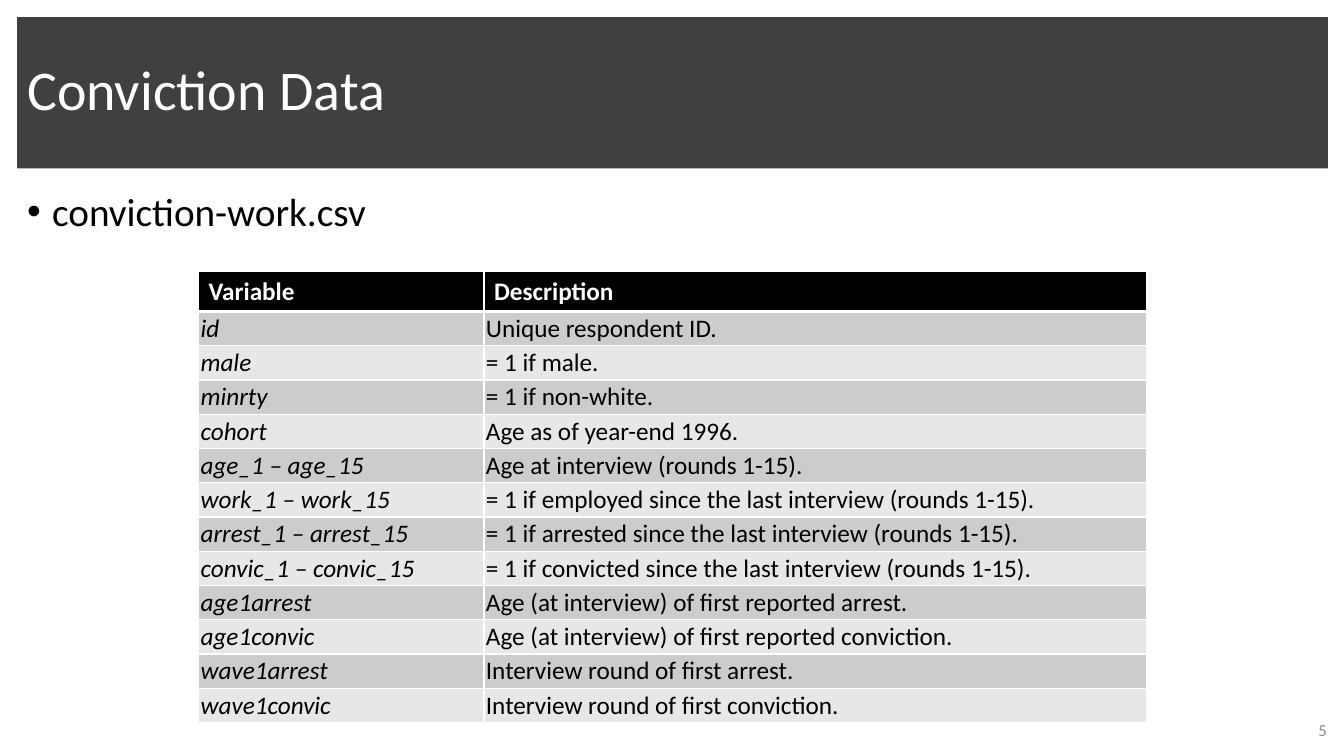
from typing import NamedTuple

from lxml.etree import SubElement
from pptx import Presentation
from pptx.dml.color import RGBColor
from pptx.enum.text import MSO_ANCHOR, PP_ALIGN
from pptx.oxml.ns import qn
from pptx.util import Pt

PX = 9144  # EMU per px, 100 px to the inch
FONT = "Calibri"
WHITE = RGBColor(0xFF, 0xFF, 0xFF)
BLACK = RGBColor(0, 0, 0)
CHARCOAL = RGBColor(0x40, 0x40, 0x40)
GRAY = RGBColor(0x8C, 0x8C, 0x8C)
BANDS = (RGBColor(0xCC, 0xCC, 0xCC), RGBColor(0xE7, 0xE7, 0xE7))

COL_WIDTHS = (283, 657)
HEADER_HEIGHT, ROW_HEIGHT = 40, 34


class Variable(NamedTuple):
    name: str
    description: str


HEADER = Variable("Variable", "Description")
VARIABLES = (
    Variable("id", "Unique respondent ID."),
    Variable("male", "= 1 if male."),
    Variable("minrty", "= 1 if non-white."),
    Variable("cohort", "Age as of year-end 1996."),
    Variable("age_1 – age_15", "Age at interview (rounds 1-15)."),
    Variable("work_1 – work_15", "= 1 if employed since the last interview (rounds 1-15)."),
    Variable("arrest_1 – arrest_15", "= 1 if arrested since the last interview (rounds 1-15)."),
    Variable("convic_1 – convic_15", "= 1 if convicted since the last interview (rounds 1-15)."),
    Variable("age1arrest", "Age (at interview) of first reported arrest."),
    Variable("age1convic", "Age (at interview) of first reported conviction."),
    Variable("wave1arrest", "Interview round of first arrest."),
    Variable("wave1convic", "Interview round of first conviction."),
)


def px(*lengths: int) -> list[int]:
    return [length * PX for length in lengths]


def write(tf, text: str, *, size: int, color=BLACK, bold=False, italic=False,
          align=PP_ALIGN.LEFT, anchor=MSO_ANCHOR.TOP, bullet=False) -> None:
    tf.word_wrap = True
    tf.vertical_anchor = anchor
    p = tf.paragraphs[0]
    p.alignment = align
    if bullet:
        pPr = p._p.get_or_add_pPr()
        pPr.set("marL", str(25 * PX))
        pPr.set("indent", str(-25 * PX))
        SubElement(pPr, qn("a:buFont"), typeface="Arial")
        SubElement(pPr, qn("a:buChar"), char="•")
    r = p.add_run()
    r.text = text
    font = r.font
    font.name, font.size, font.bold, font.italic = FONT, Pt(size), bold, italic
    font.color.rgb = color


def add_text(s, box: tuple[int, int, int, int], text: str, **style) -> None:
    write(s.shapes.add_textbox(*px(*box)).text_frame, text, **style)


def set_borders(cell, bottom: int = 1) -> None:
    """Draw white borders; the lines must precede the cell's fill."""
    tcPr = cell._tc.get_or_add_tcPr()
    for side, width in (("L", 1), ("R", 1), ("T", 1), ("B", bottom)):
        ln = SubElement(tcPr, qn(f"a:ln{side}"), w=str(Pt(width)))
        SubElement(SubElement(ln, qn("a:solidFill")), qn("a:srgbClr"), val=str(WHITE))


def add_title(s, text: str) -> None:
    title = s.shapes.title
    title.left, title.top, title.width, title.height = px(17, 17, 1300, 150)
    title.fill.solid()
    title.fill.fore_color.rgb = CHARCOAL
    write(title.text_frame, text, size=40, color=WHITE, anchor=MSO_ANCHOR.MIDDLE)
    title.text_frame.paragraphs[0].line_spacing = 0.9


def add_variable_table(s) -> None:
    rows = (HEADER, *VARIABLES)
    height = HEADER_HEIGHT + ROW_HEIGHT * len(VARIABLES)
    table = s.shapes.add_table(len(rows), len(COL_WIDTHS),
                               *px(197, 269, sum(COL_WIDTHS), height)).table
    for column, width in zip(table.columns, COL_WIDTHS):
        column.width = width * PX
    for i, variable in enumerate(rows):
        is_header = i == 0
        table.rows[i].height = (HEADER_HEIGHT if is_header else ROW_HEIGHT) * PX
        for j, text in enumerate(variable):
            cell = table.cell(i, j)
            set_borders(cell, bottom=3 if is_header else 1)
            cell.fill.solid()
            cell.fill.fore_color.rgb = BLACK if is_header else BANDS[(i - 1) % 2]
            if not is_header:
                cell.margin_left = cell.margin_right = 2 * PX
                cell.margin_top = cell.margin_bottom = 1 * PX
            cell.vertical_anchor = MSO_ANCHOR.MIDDLE
            write(cell.text_frame, text, size=18, color=WHITE if is_header else BLACK,
                  bold=is_header, italic=not is_header and j == 0,
                  anchor=MSO_ANCHOR.MIDDLE)


def main() -> None:
    prs = Presentation()
    prs.slide_width, prs.slide_height = px(1333, 750)
    s = prs.slides.add_slide(prs.slide_layouts[5])
    add_title(s, "Conviction Data")
    add_text(s, (17, 181, 1300, 553), "conviction-work.csv", size=28, bullet=True)
    add_text(s, (976, 704, 350, 40), "5", size=12, color=GRAY,
             align=PP_ALIGN.RIGHT, anchor=MSO_ANCHOR.MIDDLE)
    add_variable_table(s)
    prs.save("out.pptx")


if __name__ == "__main__":
    main()
